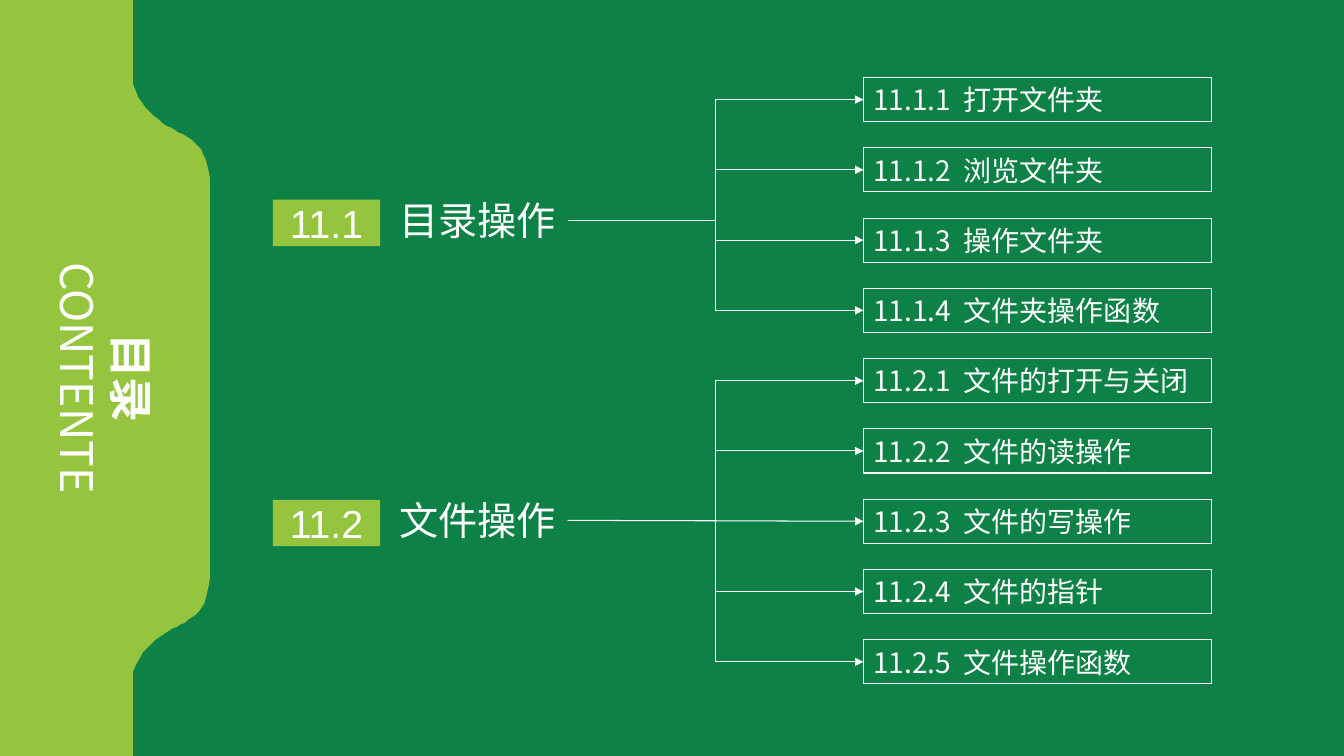
from lxml import etree
from pptx import Presentation
from pptx import util as u
from pptx.dml import color
from pptx.enum import shapes, text
from pptx.oxml import ns

COLORS = {"board": "0E8146", "leaf": "95C53E", "white": "FFFFFF"}
NOTO = "Noto Sans CJK SC"
ROW_TOP, ROW_PITCH = 55.4, 50.2
SECTIONS = [
    (136.8, "11.1", "目录操作",
     ["打开文件夹", "浏览文件夹", "操作文件夹", "文件夹操作函数"]),
    (351.2, "11.2", "文件操作",
     ["文件的打开与关闭", "文件的读操作", "文件的写操作", "文件的指针", "文件操作函数"]),
]


def rgb(name):
    return color.RGBColor.from_string(COLORS[name])


def curve(p0, p1, p2, p3, steps=24):
    points = []
    for i in range(steps + 1):
        t = i / steps
        weights = ((1 - t) ** 3, 3 * t * (1 - t) ** 2, 3 * t * t * (1 - t), t ** 3)
        points.append(tuple(sum(w * p[k] for w, p in zip(weights, (p0, p1, p2, p3)))
                            for k in (0, 1)))
    return points


class Deck:
    def __init__(self, width, height):
        self.prs = Presentation()
        self.prs.slide_width, self.prs.slide_height = u.Pt(width), u.Pt(height)
        self.s = self.prs.slides.add_slide(self.prs.slide_layouts[6])
        fill = self.s.background.fill
        fill.solid()
        fill.fore_color.rgb = rgb("board")

    def paint(self, sp, fill=None, line=None):
        sp.shadow.inherit = False
        if fill:
            sp.fill.solid()
            sp.fill.fore_color.rgb = rgb(fill)
        else:
            sp.fill.background()
        if line:
            sp.line.color.rgb = rgb(line)
            sp.line.width = u.Pt(0.75)
        else:
            sp.line.fill.background()

    def run(self, p, words, size, font, bold=False, spacing=0):
        r = p.add_run()
        r.text = words
        for key, value in {"size": u.Pt(size), "name": font, "bold": bold}.items():
            setattr(r.font, key, value)
        r.font.color.rgb = rgb("white")
        rPr = r.font._element
        etree.SubElement(rPr, ns.qn("a:ea")).set("typeface", NOTO)
        if spacing:
            rPr.set("spc", str(spacing))

    def frame(self, sp, **formats):
        for key, value in formats.items():
            setattr(sp.text_frame, key, value)
        return sp.text_frame

    def outline(self, points):
        builder = self.s.shapes.build_freeform(*points[0], scale=u.Pt(1))
        builder.add_line_segments(points[1:], close=True)
        self.paint(builder.convert_to_shape(), "leaf")

    def textbox(self, x, y, w, h, **formats):
        sp = self.s.shapes.add_textbox(*map(u.Pt, (x, y, w, h)))
        return sp, self.frame(sp, **formats)

    def rect(self, x, y, w, h, align, fill=None, line=None):
        sp = self.s.shapes.add_shape(shapes.MSO_SHAPE.RECTANGLE, *map(u.Pt, (x, y, w, h)))
        self.paint(sp, fill, line)
        tf = self.frame(sp, word_wrap=True, vertical_anchor=text.MSO_ANCHOR.MIDDLE)
        tf.paragraphs[0].alignment = align
        return sp, tf.paragraphs[0]

    def arrow(self, start, end, kind):
        c = self.s.shapes.add_connector(kind, 0, 0, 0, 0)
        c.begin_connect(start, 3)
        c.end_connect(end, 1)
        c.line.color.rgb = rgb("white")
        c.line.width = u.Pt(0.75)
        etree.SubElement(c.line._get_or_add_ln(), ns.qn("a:tailEnd")).set("type", "triangle")
        etree.SubElement(c._element.spPr, ns.qn("a:effectLst"))


def main():
    deck = Deck(960, 540)
    align, kinds = text.PP_ALIGN, shapes.MSO_CONNECTOR

    deck.outline([(0, 0), (95, 0),
                  *curve((95, 60), (110, 104), (150, 84), (150, 133)),
                  *curve((150, 407), (150, 459), (112, 435), (95, 480)),
                  (95, 540), (0, 540)])

    title, tf = deck.textbox(-28, 227.5, 206, 85, word_wrap=True)
    title.rotation = 90
    for p, words, bold in ((tf.paragraphs[0], "目录", True),
                           (tf.add_paragraph(), "CONTENTE", False)):
        p.alignment = align.CENTER
        deck.run(p, words, 32, NOTO, bold)

    row = 0
    for top, number, name, topics in SECTIONS:
        label, tf = deck.textbox(278, top, 127.5, 41, word_wrap=False)
        deck.run(tf.paragraphs[0], name, 28, "Arial")
        badge, p = deck.rect(195, top + 5.8, 76.5, 33.2, align.CENTER, fill="leaf")
        deck.run(p, number, 28, "Arial")
        for i, topic in enumerate(topics, 1):
            box, p = deck.rect(616.7, ROW_TOP + row * ROW_PITCH, 248.5, 31.5,
                               align.LEFT, line="white")
            deck.run(p, f"{number}.{i}", 20, NOTO)
            deck.run(p, " ", 20, NOTO, spacing=450)
            deck.run(p, topic, 20, NOTO)
            level = abs(box.top + box.height / 2 - label.top - label.height / 2) < u.Pt(2)
            deck.arrow(label, box, kinds.STRAIGHT if level else kinds.ELBOW)
            row += 1

    deck.prs.save("out.pptx")


if __name__ == "__main__":
    main()
